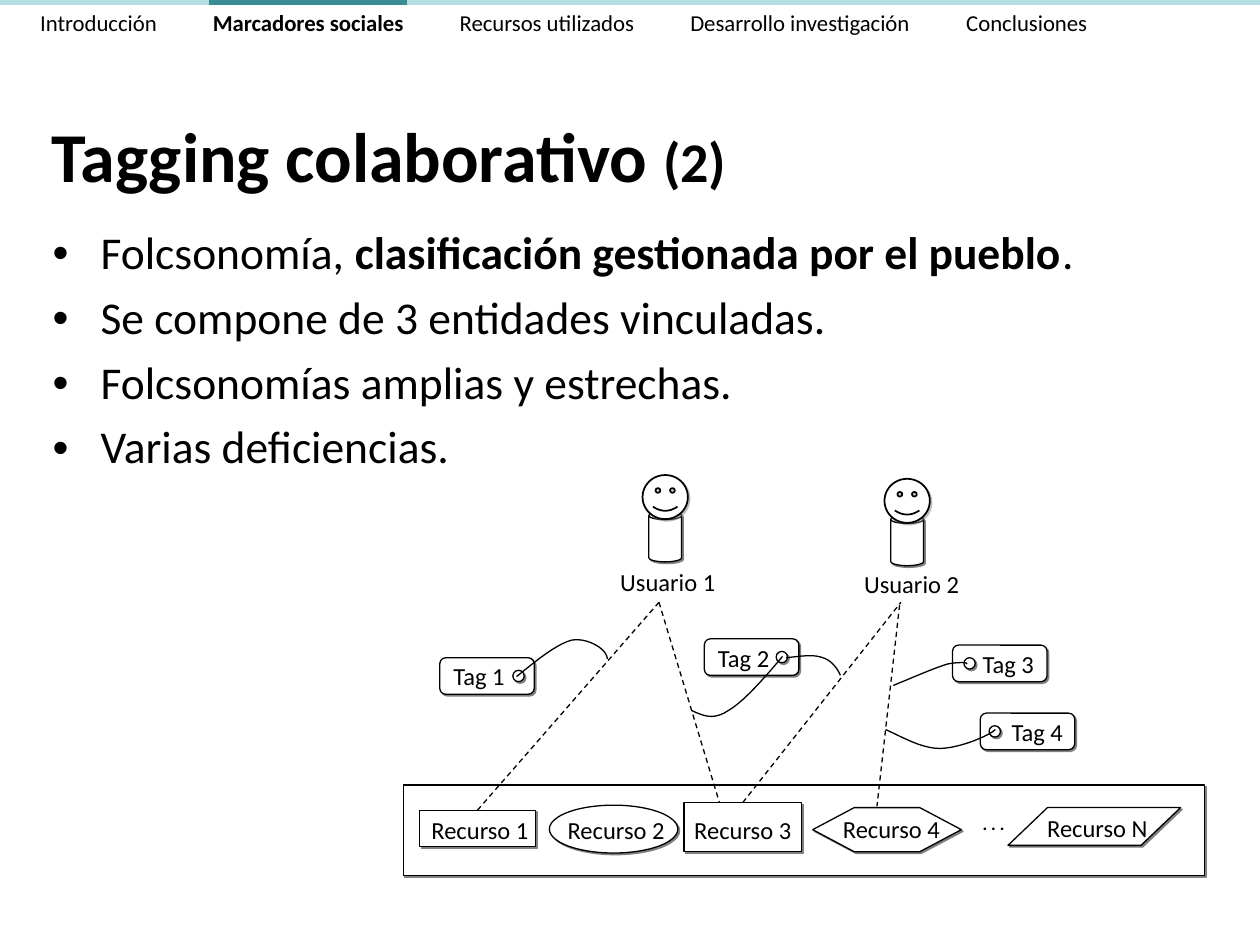
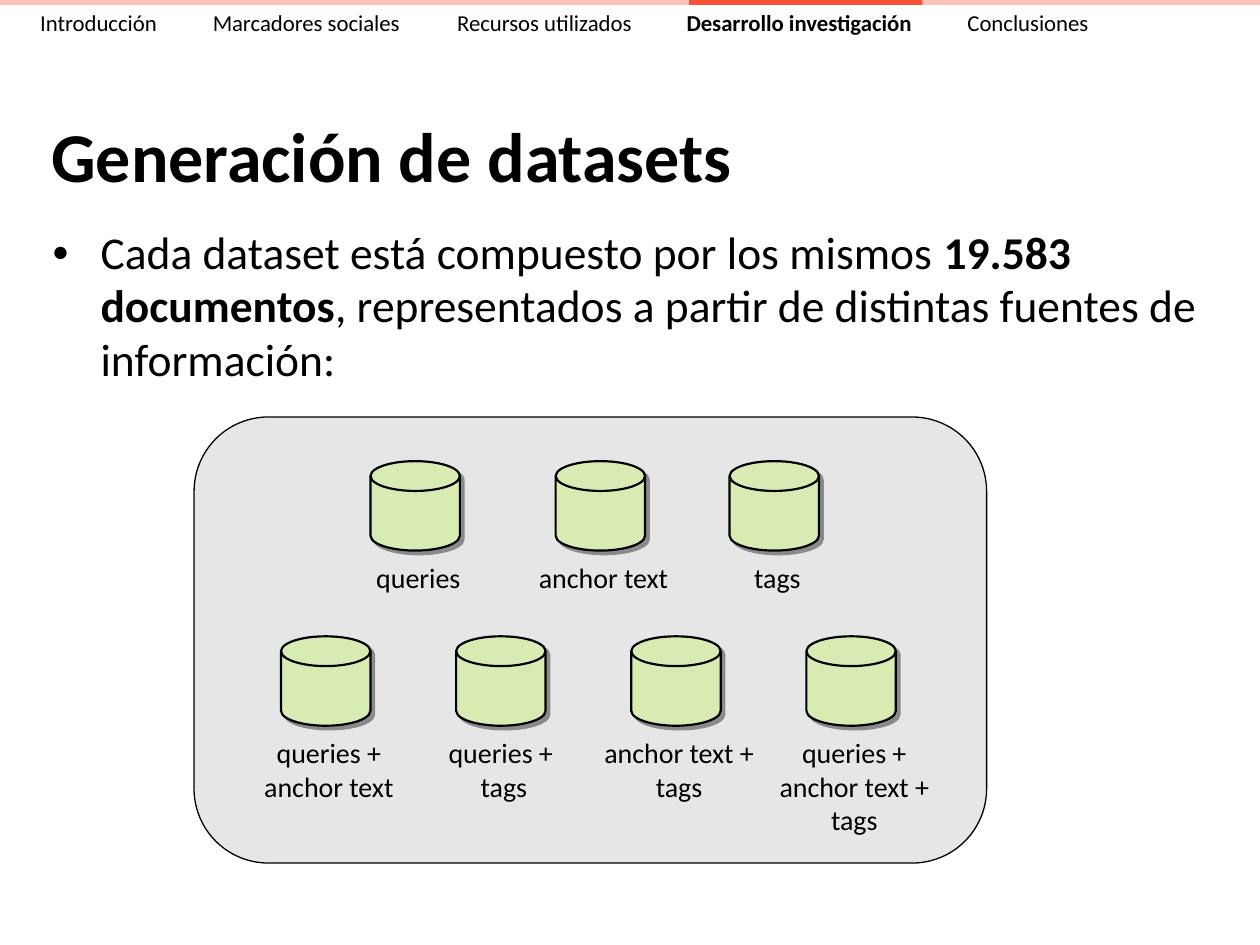
from typing import NamedTuple, Optional, Sequence

from lxml import etree
from pptx import Presentation
from pptx.dml.color import RGBColor
from pptx.enum import dml, shapes, text
from pptx.oxml import ns
from pptx.util import Inches, Pt

FONT = "Calibri"
BLACK, WHITE, PANEL, DISK = "000000", "FFFFFF", "E6E6E6", "D8EBB3"
SECTIONS = ["Introducción", "Marcadores sociales", "Recursos utilizados",
            "Desarrollo investigación", "Conclusiones"]
NAVIGATION_LEFT = 0.32
INSET = 0.1
KIND = shapes.MSO_SHAPE


class Box(NamedTuple):
    left: float
    top: float
    width: float
    height: float

    def lengths(self) -> list:
        return [Inches(value) for value in self]


class Run(NamedTuple):
    text: str
    size: float
    bold: bool = False


class Shadow(NamedTuple):
    color: str
    opacity: int
    distance: float


class Navigation(NamedTuple):
    active: int
    starts: Sequence[float]
    band: str
    marker: str
    marker_left: float
    marker_width: float


class Resource(NamedTuple):
    name: str
    kind: int
    box: Box
    label: Box
    adjustment: Optional[float] = None


class Tag(NamedTuple):
    name: str
    left: float
    top: float
    hole: float
    label: float


SMALL_SHADOW = Shadow("808080", 100, 1.4)
FACE_SHADOW = Shadow("7F7F7F", 50, 1.4)
DISK_SHADOW = Shadow(BLACK, 40, 3)

SOCIAL = Navigation(1, (1.69, 3.65, 5.48, 7.67), "B5DEE1", "3C8C93", 1.66, 1.57)
RESEARCH = Navigation(3, (1.69, 3.63, 5.45, 7.68), "FCC3BA", "F65136", 5.47, 1.85)

RESOURCES = [
    Resource("Recurso N", KIND.PARALLELOGRAM, Box(8, 6.41, 1.37, 0.3),
             Box(8.16, 6.4, 1.1, 0.35), 1.046),
    Resource("Recurso 1", KIND.RECTANGLE, Box(3.33, 6.43, 0.92, 0.29),
             Box(3.31, 6.42, 1, 0.35)),
    Resource("Recurso 3", KIND.RECTANGLE, Box(5.43, 6.37, 0.93, 0.39),
             Box(5.39, 6.42, 1.01, 0.35)),
    Resource("Recurso 4", KIND.HEXAGON, Box(6.45, 6.41, 1.18, 0.35),
             Box(6.52, 6.41, 1.11, 0.35), 0.941),
    Resource("Recurso 2", KIND.OVAL, Box(4.36, 6.39, 1.02, 0.38),
             Box(4.35, 6.42, 1.08, 0.35)),
]
TAGS = [
    Tag("Tag 1", 3.49, 5.22, 4.07, 3.5),
    Tag("Tag 2", 5.59, 5.07, 6.16, 5.6),
    Tag("Tag 3", 7.56, 5.12, 7.65, 7.7),
    Tag("Tag 4", 7.78, 5.66, 7.85, 7.93),
]
# Each curve: a start, then two cubic segments of three points each.
TAG_CURVES = [
    [(4.1, 5.37), (4.26, 5.24), (4.42, 5.11), (4.54, 5.08),
     (4.66, 5.06), (4.82, 5.15), (4.82, 5.23)],
    [(6.21, 5.21), (6.06, 5.39), (5.9, 5.57), (5.78, 5.64),
     (5.66, 5.72), (5.58, 5.68), (5.49, 5.64)],
    [(6.24, 5.22), (6.35, 5.21), (6.45, 5.19), (6.53, 5.22),
     (6.6, 5.24), (6.65, 5.31), (6.67, 5.36)],
    [(7.09, 5.44), (7.26, 5.37), (7.42, 5.3), (7.52, 5.27),
     (7.62, 5.25), (7.69, 5.26), (7.67, 5.27)],
    [(7.03, 5.79), (7.18, 5.86), (7.32, 5.94), (7.46, 5.94),
     (7.61, 5.94), (7.85, 5.84), (7.9, 5.79)],
]
# Each link: start, end and the resource whose top the start is joined to.
USER_LINKS = [
    ((3.77, 6.43), (5.23, 4.78), "Recurso 1"),
    ((5.23, 4.78), (5.71, 6.37), None),
    ((5.87, 6.37), (7.15, 4.78), "Recurso 3"),
    ((7.14, 4.8), (6.96, 6.4), None),
]


def rgb(color: str) -> RGBColor:
    return RGBColor.from_string(color)


def add_child(parent, tag: str, **attributes):
    return etree.SubElement(parent, ns.qn(tag), **attributes)


def set_shadow(shape, shadow: Shadow) -> None:
    effects = shape.element.spPr.find(ns.qn("a:effectLst"))
    outer = add_child(effects, "a:outerShdw", blurRad="0",
                      dist=str(Pt(shadow.distance)), dir="2700000",
                      algn="ctr", rotWithShape="0")
    color = add_child(outer, "a:srgbClr", val=shadow.color)
    add_child(color, "a:alpha", val=str(shadow.opacity * 1000))


def add_figure(slide, kind: int, box: Box, fill: str = WHITE, line: Optional[float] = 0.75,
               shadow: Optional[Shadow] = SMALL_SHADOW):
    """Add a preset shape; line is the outline width in points, None for no outline."""
    shape = slide.shapes.add_shape(kind, *box.lengths())
    shape.shadow.inherit = False
    shape.fill.solid()
    shape.fill.fore_color.rgb = rgb(fill)
    if line is None:
        shape.line.fill.background()
    else:
        shape.line.color.rgb = rgb(BLACK)
        shape.line.width = Pt(line)
    if shadow:
        set_shadow(shape, shadow)
    return shape


def format_run(run, size: float, bold: bool) -> None:
    run.font.name = FONT
    run.font.size = Pt(size)
    run.font.bold = bold
    run.font.color.rgb = rgb(BLACK)


def add_text_frame(slide, box: Box):
    frame = slide.shapes.add_textbox(*box.lengths()).text_frame
    frame.word_wrap = True
    return frame


def write_runs(paragraph, runs: Sequence[Run]) -> None:
    for part in runs:
        run = paragraph.add_run()
        run.text = part.text
        format_run(run, part.size, part.bold)


def add_label(slide, box: Box, label: str, size: float = 14, bold: bool = False,
              align: int = text.PP_ALIGN.CENTER) -> None:
    """Add a one-style label; a vertical tab in it breaks the line."""
    paragraph = add_text_frame(slide, box).paragraphs[0]
    paragraph.text = label
    paragraph.alignment = align
    for run in paragraph.runs:
        format_run(run, size, bold)


def add_title(slide, runs: Sequence[Run]) -> None:
    frame = add_text_frame(slide, Box(0.31, 0.86, 9.61, 0.74))
    frame.vertical_anchor = text.MSO_ANCHOR.MIDDLE
    write_runs(frame.paragraphs[0], runs)


def add_bullets(slide, bullets: Sequence[Sequence[Run]]) -> None:
    frame = add_text_frame(slide, Box(0.32, 1.75, 9.37, 5.67))
    for index, runs in enumerate(bullets):
        paragraph = frame.add_paragraph() if index else frame.paragraphs[0]
        paragraph.space_before = Pt(6.5)
        paragraph.line_spacing = 0.98
        properties = paragraph._p.get_or_add_pPr()
        properties.set("marL", str(Inches(0.38)))
        properties.set("indent", str(-Inches(0.38)))
        add_child(properties, "a:buFont", typeface="Arial")
        add_child(properties, "a:buChar", char="•")
        write_runs(paragraph, runs)


def add_navigation(slide, navigation: Navigation) -> None:
    add_figure(slide, KIND.RECTANGLE, Box(0, 0, 10, 0.04), navigation.band, None, None)
    frame = add_text_frame(slide, Box(NAVIGATION_LEFT - INSET, 0.02, 9.65, 0.32))
    paragraph = frame.paragraphs[0]
    stops = add_child(paragraph._p.get_or_add_pPr(), "a:tabLst")
    for start in navigation.starts:
        add_child(stops, "a:tab", pos=str(Inches(start - NAVIGATION_LEFT)), algn="l")
    for index, section in enumerate(SECTIONS):
        tab = "\t" if index else ""
        write_runs(paragraph, [Run(tab + section, 13, index == navigation.active)])
    marker = Box(navigation.marker_left, 0, navigation.marker_width, 0.04)
    add_figure(slide, KIND.RECTANGLE, marker, navigation.marker, None, None)


def add_link(slide, start: tuple, end: tuple, joined=None) -> None:
    points = [Inches(value) for value in (*start, *end)]
    connector = slide.shapes.add_connector(shapes.MSO_CONNECTOR.STRAIGHT, *points)
    if joined is not None:
        connector.begin_connect(joined, 0)
    connector.line.color.rgb = rgb(BLACK)
    connector.line.width = Pt(0.75)
    connector.line.dash_style = dml.MSO_LINE.DASH
    add_child(connector.element.spPr, "a:effectLst")


def add_curve(slide, points: Sequence[tuple], steps: int = 10) -> None:
    """Trace a chain of cubic Bézier segments as an open outline."""
    traced = []
    for first in range(0, len(points) - 1, 3):
        controls = points[first:first + 4]
        for step in range(1, steps + 1):
            t = step / steps
            weights = ((1 - t) ** 3, 3 * t * (1 - t) ** 2, 3 * t ** 2 * (1 - t), t ** 3)
            traced.append(tuple(
                Inches(sum(weight * point[axis] for weight, point in zip(weights, controls)))
                for axis in (0, 1)))
    builder = slide.shapes.build_freeform(*(Inches(value) for value in points[0]))
    builder.add_line_segments(traced, close=False)
    curve = builder.convert_to_shape()
    curve.shadow.inherit = False
    curve.fill.background()
    curve.line.color.rgb = rgb(BLACK)
    curve.line.width = Pt(0.75)


def add_resources(slide) -> dict:
    add_figure(slide, KIND.RECTANGLE, Box(3.2, 6.23, 6.36, 0.72))
    figures = {}
    for resource in RESOURCES:
        figure = add_figure(slide, resource.kind, resource.box)
        if resource.adjustment is not None:
            figure.adjustments[0] = resource.adjustment
        add_label(slide, resource.label, resource.name)
        figures[resource.name] = figure
    add_label(slide, Box(7.7, 6.4, 0.41, 0.4), ". . .", 10, True, text.PP_ALIGN.LEFT)
    return figures


def add_tag(slide, tag: Tag) -> None:
    add_figure(slide, KIND.ROUNDED_RECTANGLE, Box(tag.left, tag.top, 0.75, 0.29))
    add_figure(slide, KIND.OVAL, Box(tag.hole, tag.top + 0.1, 0.09, 0.09))
    add_label(slide, Box(tag.label, tag.top - 0.02, 0.64, 0.32), tag.name,
              align=text.PP_ALIGN.LEFT)


def add_user(slide, name: str, left: float, top: float, label: Box) -> None:
    add_figure(slide, KIND.CAN, Box(left + 0.05, top + 0.29, 0.26, 0.4))
    add_figure(slide, KIND.SMILEY_FACE, Box(left, top, 0.36, 0.35), line=1, shadow=FACE_SHADOW)
    add_label(slide, label, name)


def add_dataset(slide, name: str, left: float, top: float) -> None:
    add_figure(slide, KIND.FLOWCHART_MAGNETIC_DISK, Box(left, top, 0.71, 0.71),
               DISK, 1.25, DISK_SHADOW)
    add_label(slide, Box(left - 0.56, top + 0.74, 1.88, 0.37), name, 16)


def build_tagging(slide) -> None:
    add_title(slide, [Run("Tagging colaborativo ", 40, True), Run("(2)", 32, True)])
    add_bullets(slide, [
        [Run("Folcsonomía, ", 26), Run("clasificación gestionada por el pueblo", 26, True),
         Run(".", 26)],
        [Run("Se compone de 3 entidades vinculadas.", 26)],
        [Run("Folcsonomías amplias y estrechas.", 26)],
        [Run("Varias deficiencias.", 26)],
    ])
    figures = add_resources(slide)
    for start, end, resource in USER_LINKS:
        add_link(slide, start, end, figures.get(resource))
    for tag in TAGS:
        add_tag(slide, tag)
    for curve in TAG_CURVES:
        add_curve(slide, curve)
    add_user(slide, "Usuario 1", 5.1, 3.77, Box(4.79, 4.45, 1.02, 0.25))
    add_user(slide, "Usuario 2", 7.02, 3.8, Box(6.69, 4.47, 1.09, 0.33))
    add_navigation(slide, SOCIAL)


def build_datasets(slide) -> None:
    add_title(slide, [Run("Generación de datasets", 40, True)])
    add_bullets(slide, [[
        Run("Cada dataset está compuesto por los mismos ", 26),
        Run("19.583 documentos", 26, True),
        Run(", representados a partir de distintas fuentes de información:", 26)]])
    add_figure(slide, KIND.ROUNDED_RECTANGLE, Box(1.54, 3.31, 6.29, 3.54), PANEL, shadow=None)
    for name, left in (("queries", 2.94), ("anchor text", 4.41), ("tags", 5.79)):
        add_dataset(slide, name, left, 3.66)
    combinations = ["queries +\vanchor text", "queries + \vtags", "anchor text +\vtags",
                    "queries +\vanchor text +\vtags"]
    for column, name in enumerate(combinations):
        add_dataset(slide, name, 2.23 + 1.39 * column, 5.05)
    add_navigation(slide, RESEARCH)


def main() -> None:
    presentation = Presentation()
    presentation.slide_width = Inches(10)
    presentation.slide_height = Inches(7.5)
    for build in (build_tagging, build_datasets):
        build(presentation.slides.add_slide(presentation.slide_layouts[6]))
    presentation.save("out.pptx")


if __name__ == "__main__":
    main()
